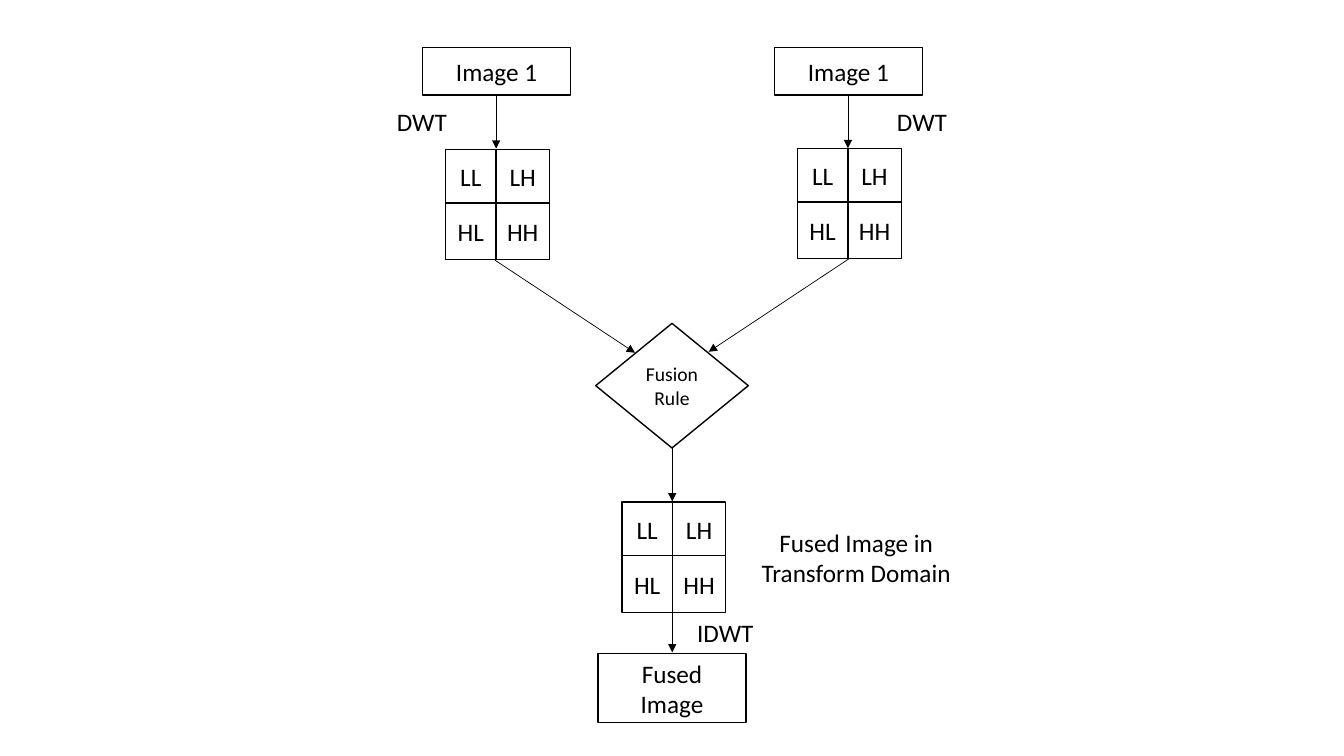
from pptx import Presentation
from pptx.dml.color import RGBColor
from pptx.enum.shapes import MSO_CONNECTOR, MSO_SHAPE
from pptx.enum.text import MSO_ANCHOR, PP_ALIGN
from pptx.oxml.ns import qn
from pptx.util import Pt
from lxml import etree

PROCESS = MSO_SHAPE.FLOWCHART_PROCESS
DECISION = MSO_SHAPE.FLOWCHART_DECISION
STRAIGHT = MSO_CONNECTOR.STRAIGHT
MIDDLE = MSO_ANCHOR.MIDDLE
CENTER = PP_ALIGN.CENTER
BLACK, WHITE = "000000", "FFFFFF"

presentation = Presentation()
presentation.slide_width, presentation.slide_height = Pt(960), Pt(540)
slide = presentation.slides.add_slide(presentation.slide_layouts[6])


def add_box(text, left, top, width, height, kind=PROCESS, outline=BLACK, size=18):
    shape = slide.shapes.add_shape(kind, Pt(left), Pt(top), Pt(width), Pt(height))
    shape.shadow.inherit = False
    shape.fill.solid()
    shape.fill.fore_color.rgb = RGBColor.from_string(WHITE)
    shape.line.color.rgb = RGBColor.from_string(outline)
    shape.line.width = Pt(1)
    shape.text_frame.vertical_anchor = MIDDLE
    paragraph = shape.text_frame.paragraphs[0]
    paragraph.text = text
    paragraph.alignment = CENTER
    paragraph.font.name = "Calibri"
    paragraph.font.size = Pt(size)
    paragraph.font.color.rgb = RGBColor.from_string(BLACK)


def add_arrow(start_x, start_y, end_x, end_y):
    arrow = slide.shapes.add_connector(
        STRAIGHT, Pt(start_x), Pt(start_y), Pt(end_x), Pt(end_y))
    arrow.line.color.rgb = RGBColor.from_string(BLACK)
    arrow.line.width = Pt(0.5)
    etree.SubElement(arrow.line._get_or_add_ln(), qn("a:tailEnd"), type="triangle")
    etree.SubElement(arrow._element.spPr, qn("a:effectLst"))


# Input images, fusion rule and result
for left in (301.7, 553):
    add_box("Image 1", left, 33.8, 106, 34)
add_box("Fusion Rule", 425.5, 231, 109, 89, kind=DECISION, size=14)
add_box("Fused Image", 427, 466.8, 106, 49.5)

# Wavelet sub-bands: two by two cells for each image
columns = ((0, 36.2), (36.2, 38))
rows = ((0, 38.4), (38.4, 40.4))
bands = (("LL", "LH"), ("HL", "HH"))
for grid_left, grid_top in ((318.2, 106.6), (569.5, 105.9), (444.2, 358.6)):
    for band_row, (y, height) in zip(bands, rows):
        for band, (x, width) in zip(band_row, columns):
            add_box(band, grid_left + x, grid_top + y, width, height)

# Labels without a visible outline
for label, left, top, width, height in (
    ("DWT", 270.7, 73.5, 61.2, 26),
    ("DWT", 628, 73.5, 61.2, 26),
    ("IDWT", 487.5, 438.5, 61.2, 26),
    ("Fused Image in Transform Domain", 534.2, 378, 154.8, 40.4),
):
    add_box(label, left, top, width, height, outline=WHITE)

# Flow from the inputs down to the result
for ends in (
    (354.4, 67.8, 354.4, 106.2),
    (605.7, 67.8, 605.7, 105.9),
    (353.5, 185.8, 453.6, 252),
    (606.2, 185, 506.2, 251.3),
    (480.2, 320, 480.2, 358.2),
    (480.2, 437.6, 480.2, 466),
):
    add_arrow(*ends)

presentation.save("out.pptx")
